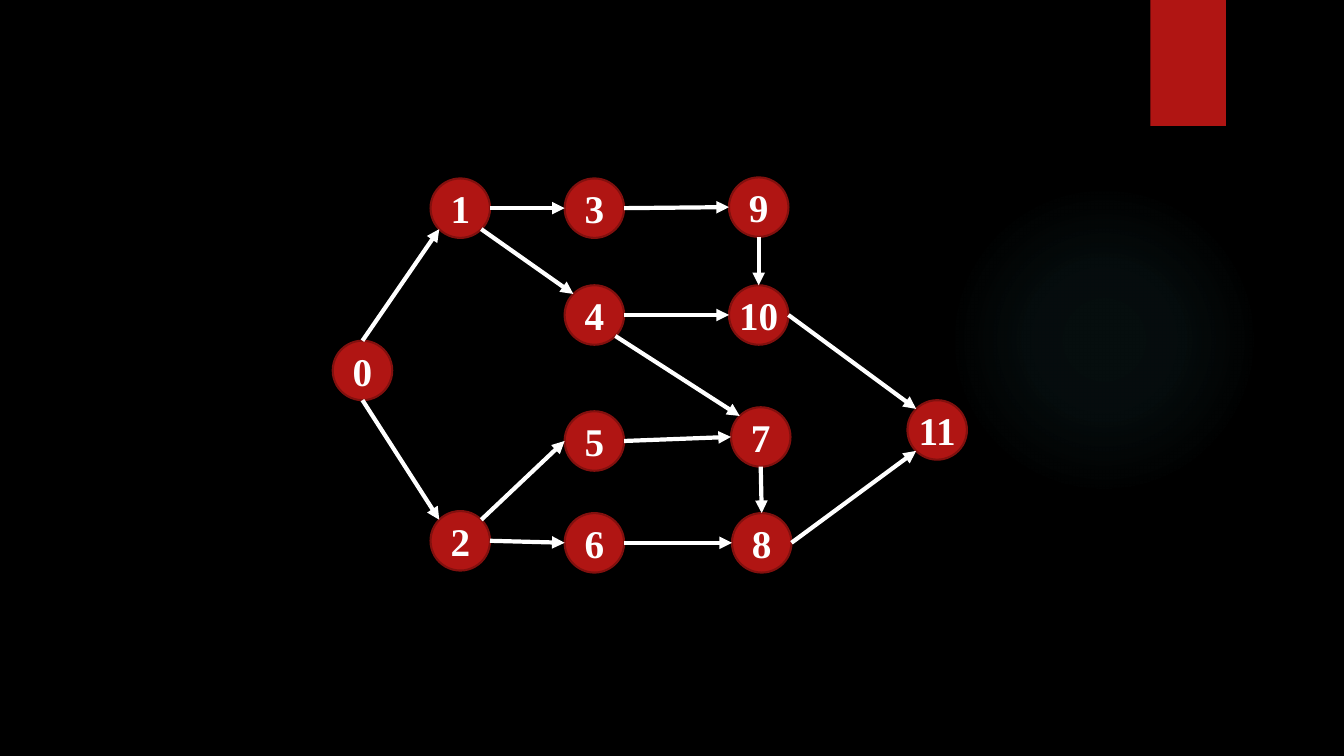
"""Builds a slide with a directed graph of twelve numbered nodes."""
from math import sqrt

from lxml.etree import SubElement
from pptx import Presentation
from pptx.dml.color import RGBColor
from pptx.enum.shapes import MSO_CONNECTOR as Connector, MSO_SHAPE as Shape
from pptx.enum.text import MSO_ANCHOR as Anchor, PP_ALIGN as Align
from pptx.oxml import parse_xml
from pptx.oxml.ns import nsdecls, qn
from pptx.util import Inches, Pt

BLACK = RGBColor(0x00, 0x00, 0x00)
WHITE = RGBColor(0xFF, 0xFF, 0xFF)
RED = RGBColor(0xB0, 0x15, 0x13)
DARK_RED = RGBColor(0x82, 0x10, 0x0E)
TEAL = RGBColor(0x50, 0xB9, 0xC1)

DIAMETER = 0.59
RADIUS = DIAMETER / 2
DIAGONAL = RADIUS / sqrt(2)
NODE_FONT = {"name": "Times New Roman", "size": Pt(28), "bold": True}
NODE_FRAME = {"margin_left": 0, "margin_right": 0, "margin_top": 0,
              "margin_bottom": 0, "vertical_anchor": Anchor.MIDDLE,
              "word_wrap": True}

prs = Presentation()
prs.slide_width, prs.slide_height = Inches(13.33), Inches(7.5)
slide = prs.slides.add_slide(prs.slide_layouts[6])
slide.background.fill.solid()
slide.background.fill.fore_color.rgb = BLACK


def add_filled(kind, left, top, width, height, color):
    shape = slide.shapes.add_shape(
        kind, Inches(left), Inches(top), Inches(width), Inches(height))
    shape.shadow.inherit = False
    shape.fill.solid()
    shape.fill.fore_color.rgb = color
    shape.line.fill.background()
    return shape


glow = add_filled(Shape.OVAL, 9.41, 1.83, 3.08, 3.08, TEAL)
stops = "".join(
    f'<a:gs pos="{position}000"><a:srgbClr val="{TEAL}">'
    f'<a:alpha val="{opacity}000"/></a:srgbClr></a:gs>'
    for position, opacity in [(0, 7), (36, 6), (69, 0), (100, 0)])
gradient = parse_xml(
    f'<a:gradFill {nsdecls("a")} rotWithShape="1"><a:gsLst>{stops}</a:gsLst>'
    '<a:path path="circle"><a:fillToRect l="50000" t="50000" r="50000" '
    'b="50000"/></a:path></a:gradFill>')
solid = glow.element.spPr.find(qn("a:solidFill"))
solid.getparent().replace(solid, gradient)

add_filled(Shape.RECTANGLE, 11.41, 0, 0.75, 1.25, RED)

nodes = {
    0: (3.3, 3.38), 1: (4.27, 1.77), 2: (4.27, 5.07), 3: (5.6, 1.77),
    4: (5.6, 2.83), 5: (5.6, 4.08), 6: (5.6, 5.09), 7: (7.25, 4.04),
    8: (7.26, 5.09), 9: (7.23, 1.76), 10: (7.23, 2.83), 11: (9, 3.97),
}
for number, (left, top) in nodes.items():
    node = add_filled(Shape.OVAL, left, top, DIAMETER, DIAMETER, RED)
    node.line.color.rgb = DARK_RED
    node.line.width = Pt(1.5)
    for key, value in NODE_FRAME.items():
        setattr(node.text_frame, key, value)
    label = node.text_frame.paragraphs[0]
    label.alignment = Align.CENTER
    digits = label.add_run()
    digits.text = str(number)
    digits.font.color.rgb = WHITE
    for key, value in NODE_FONT.items():
        setattr(digits.font, key, value)

rim = {
    "top": (0, -RADIUS), "bottom": (0, RADIUS),
    "left": (-RADIUS, 0), "right": (RADIUS, 0),
    "top left": (-DIAGONAL, -DIAGONAL), "top right": (DIAGONAL, -DIAGONAL),
    "bottom left": (-DIAGONAL, DIAGONAL), "bottom right": (DIAGONAL, DIAGONAL),
}


def rim_point(number, side):
    return [Inches(corner + RADIUS + offset)
            for corner, offset in zip(nodes[number], rim[side])]


edges = [
    (0, "top", 1, "bottom left"), (0, "bottom", 2, "top left"),
    (1, "bottom right", 4, "top left"), (1, "right", 3, "left"),
    (3, "right", 9, "left"), (4, "right", 10, "left"),
    (9, "bottom", 10, "top"), (4, "bottom right", 7, "top left"),
    (10, "right", 11, "top left"), (7, "bottom", 8, "top"),
    (5, "right", 7, "left"), (6, "right", 8, "left"),
    (2, "right", 6, "left"), (2, "top right", 5, "left"),
    (8, "right", 11, "bottom left"),
]
for source, exit_side, target, entry_side in edges:
    edge = slide.shapes.add_connector(
        Connector.STRAIGHT, *rim_point(source, exit_side),
        *rim_point(target, entry_side))
    edge.line.color.rgb = WHITE
    edge.line.width = Pt(3)
    SubElement(edge.line._get_or_add_ln(), qn("a:tailEnd"), type="triangle")
    SubElement(edge.element.spPr, qn("a:effectLst"))

prs.save("out.pptx")
